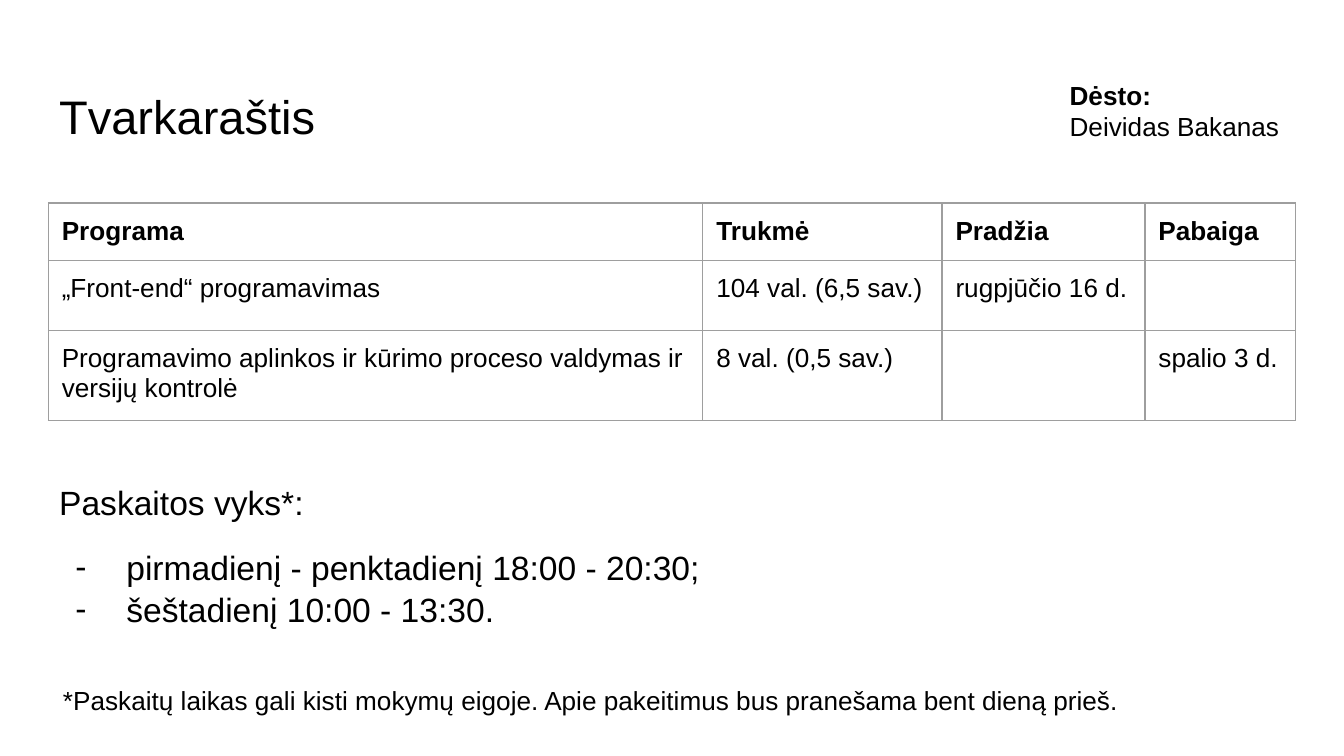
from lxml.etree import SubElement
from pptx import Presentation
from pptx.dml.color import RGBColor
from pptx.enum.text import MSO_ANCHOR, MSO_AUTO_SIZE, PP_ALIGN
from pptx.oxml.ns import qn
from pptx.util import Inches, Pt

BLACK = RGBColor(0x00, 0x00, 0x00)
GREY = RGBColor(0x9E, 0x9E, 0x9E)
FONT = "Arial"
COLS = [4.87, 1.78, 1.51, 1.12]
ROW_HEIGHTS = [0.43, 0.52, 0.67]
ROWS = [
    ["Programa", "Trukmė", "Pradžia", "Pabaiga"],
    ["„Front-end“ programavimas", "104 val. (6,5 sav.)", "rugpjūčio 16 d.", ""],
    ["Programavimo aplinkos ir kūrimo proceso valdymas ir versijų kontrolė",
     "8 val. (0,5 sav.)", "", "spalio 3 d."],
]


def set_margins(obj):
    obj.margin_left = obj.margin_right = Inches(0.1)
    obj.margin_top = obj.margin_bottom = Inches(0.1)


def place(sp, x, y, w, h):
    """Position a text shape and return its prepared text frame."""
    sp.left, sp.top, sp.width, sp.height = (Inches(v) for v in (x, y, w, h))
    tf = sp.text_frame
    tf.word_wrap = True
    tf.auto_size = MSO_AUTO_SIZE.NONE
    tf.vertical_anchor = MSO_ANCHOR.TOP
    set_margins(tf)
    return tf


def write(p, text, size, bold=False, line=1.0, before=0):
    p.alignment = PP_ALIGN.LEFT
    p.line_spacing = line
    p.space_before = Pt(before)
    r = p.add_run()
    r.text = text
    f = r.font
    f.name, f.size, f.bold = FONT, Pt(size), bold
    f.color.rgb = BLACK


def set_bullet(p, char=None):
    """Give the paragraph a hanging bullet, or none."""
    pPr = p._p.get_or_add_pPr()
    pPr.set("marL", str(Inches(0.5 if char else 0)))
    pPr.set("indent", str(Inches(-0.38 if char else 0)))
    if char:
        SubElement(pPr, qn("a:buFont"), typeface=FONT)
        SubElement(pPr, qn("a:buChar"), char=char)
    else:
        SubElement(pPr, qn("a:buNone"))


def set_borders(cell):
    tcPr = cell._tc.get_or_add_tcPr()
    for side in ("lnL", "lnR", "lnT", "lnB"):
        ln = SubElement(tcPr, qn(f"a:{side}"), w=str(Pt(0.75)))
        fill = SubElement(ln, qn("a:solidFill"))
        SubElement(fill, qn("a:srgbClr"), val=str(GREY))


def add_title(s, x, y, w, h):
    tf = place(s.shapes.title, x, y, w, h)
    write(tf.paragraphs[0], "Tvarkaraštis", 25.2, line=1.15)


def add_lecturer(s, x, y, w, h):
    tf = place(s.shapes.add_textbox(0, 0, 0, 0), x, y, w, h)
    write(tf.paragraphs[0], "Dėsto:", 14, bold=True)
    write(tf.add_paragraph(), "Deividas Bakanas", 14)


def add_schedule(s, x, y):
    table = s.shapes.add_table(len(ROWS), len(COLS), Inches(x), Inches(y),
                               Inches(sum(COLS)), Inches(sum(ROW_HEIGHTS))).table
    table.first_row = table.horz_banding = False
    for col, w in zip(table.columns, COLS):
        col.width = Inches(w)
    for i, (row, h) in enumerate(zip(table.rows, ROW_HEIGHTS)):
        row.height = Inches(h)
        for cell, text in zip(row.cells, ROWS[i]):
            set_margins(cell)
            set_borders(cell)
            cell.fill.background()
            if text:
                write(cell.text_frame.paragraphs[0], text, 14, bold=i == 0)


def add_lecture_times(s, x, y, w, h):
    tf = place(s.placeholders[1], x, y, w, h)
    lines = [("Paskaitos vyks*:", None, 0),
             ("pirmadienį - penktadienį 18:00 - 20:30;", "-", 12),
             ("šeštadienį 10:00 - 13:30.", "-", 0)]
    for i, (text, char, before) in enumerate(lines):
        p = tf.add_paragraph() if i else tf.paragraphs[0]
        set_bullet(p, char)
        write(p, text, 18, line=1.05, before=before)


def add_footnote(s, x, y, w, h):
    tf = place(s.shapes.add_textbox(0, 0, 0, 0), x, y, w, h)
    write(tf.paragraphs[0], "*Paskaitų laikas gali kisti mokymų eigoje. "
          "Apie pakeitimus bus pranešama bent dieną prieš.", 14, line=1.15)


def main():
    prs = Presentation()
    # 16:9 slide
    prs.slide_width = Inches(10)
    prs.slide_height = Inches(10 * 9 / 16)
    s = prs.slides.add_slide(prs.slide_layouts[1])
    # Header
    add_title(s, 0.34, 0.49, 4.46, 0.63)
    add_lecturer(s, 7.86, 0.49, 1.79, 0.67)
    # Programme table
    add_schedule(s, 0.36, 1.51)
    # Lecture times and footnote
    add_lecture_times(s, 0.34, 3.47, 9.32, 1.32)
    add_footnote(s, 0.37, 4.96, 8.93, 0.44)
    prs.save("out.pptx")


if __name__ == "__main__":
    main()
